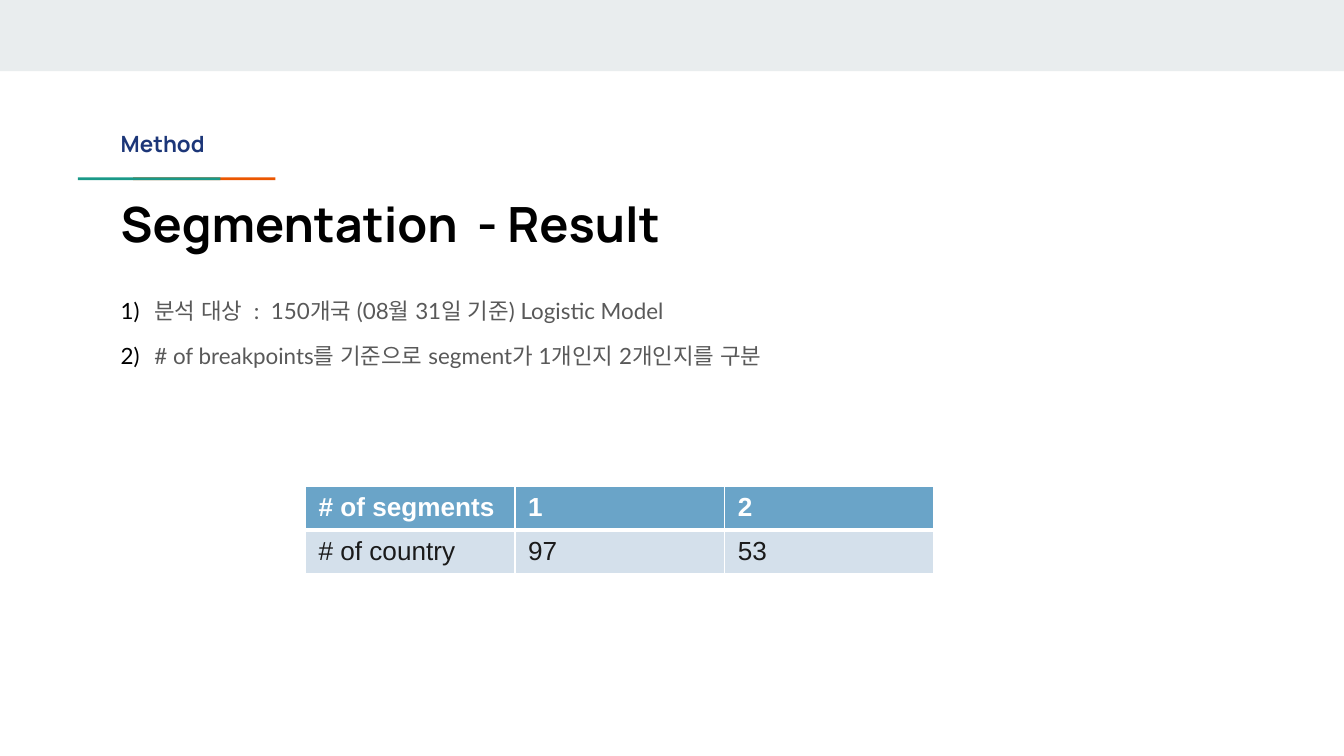
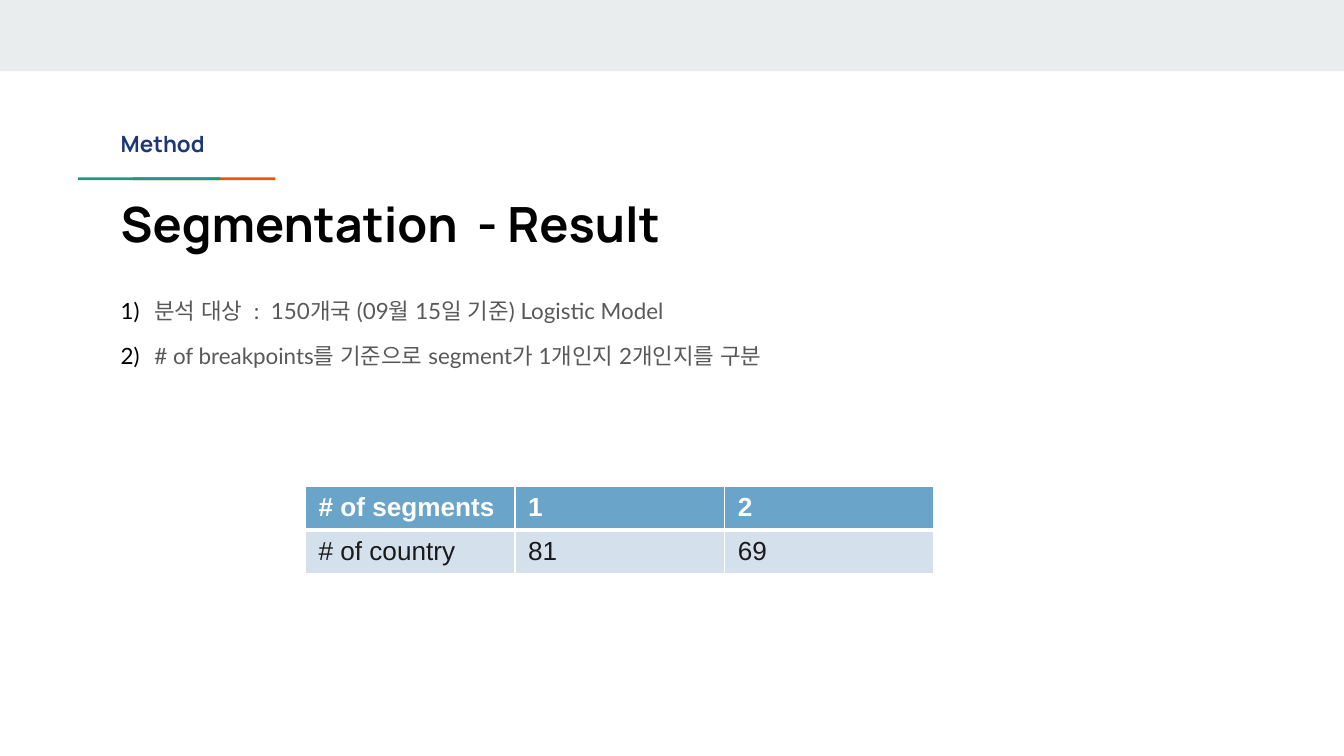
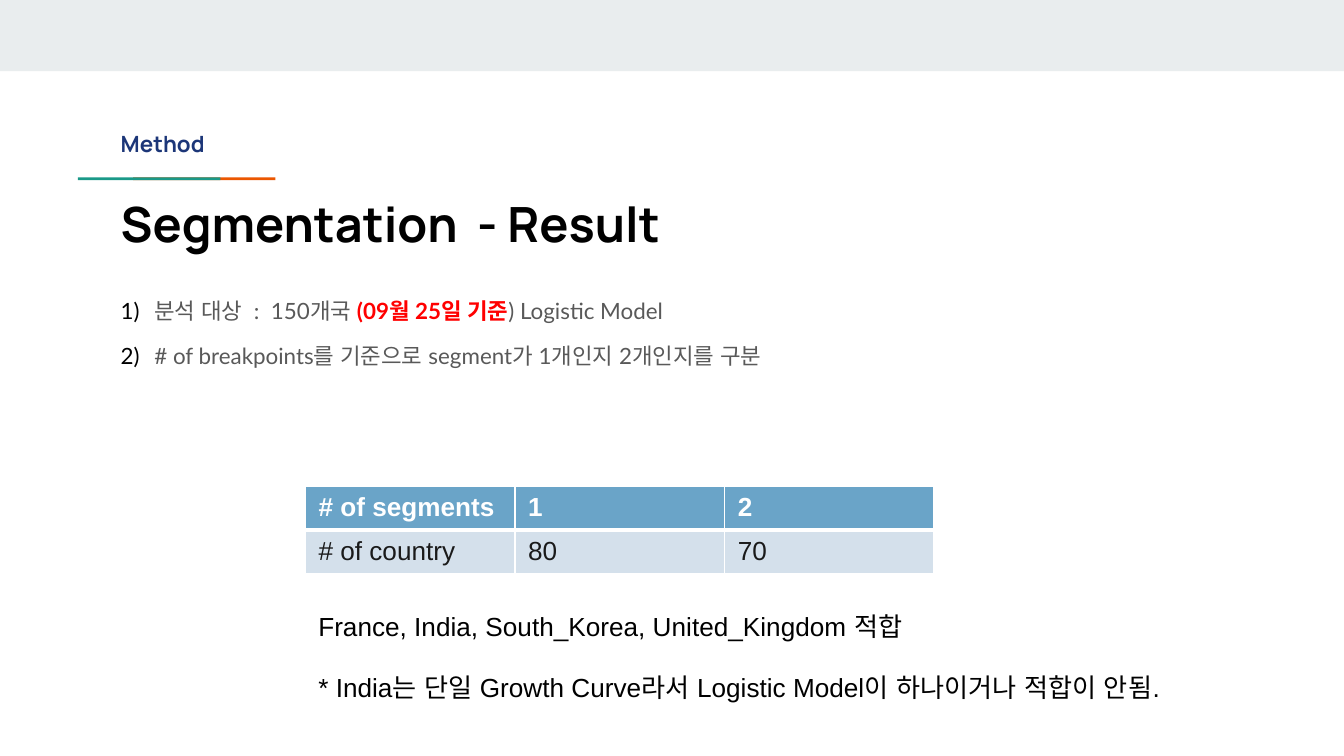
"""Builds three slides with the segmentation results by date."""
from lxml import etree
from pptx import Presentation
from pptx.dml.color import RGBColor
from pptx.enum import lang, shapes
from pptx.oxml import ns
from pptx.util import Inches, Pt

BAND, TEAL, ORANGE, NAVY = "E9EDEE", "1A9988", "EB5600", "1C3678"
BLACK, GREY, RED, WHITE = "000000", "595959", "FF0000", "FFFFFF"
HEADER_FILL, BODY_FILL, BODY_TEXT = "6AA4C8", "D4E0EB", "1A1A1A"
HEADING_FONT, LIST_FONT, TABLE_FONT = "Manrope", "Lato", "Arial"
CRITERION = "# of breakpoints를 기준으로 segment가 1개인지 2개인지를 구분"
RESULTS = [
    {"date": "(08월 31일 기준", "counts": ("97", "53")},
    {"date": "(09월 15일 기준", "counts": ("81", "69")},
    {"date": "(09월 25일 기준", "counts": ("80", "70"), "highlight": True,
     "remarks": ("France, India, South_Korea, United_Kingdom 적합",
                 "* India는 단일 Growth Curve라서 Logistic Model이 "
                 "하나이거나 적합이 안됨.")},
]


def rgb(value):
    """Return the colour for a hex string."""
    return RGBColor.from_string(value)


def add_bar(slide, left, top, width, height, color):
    """Draw a plain filled rectangle."""
    bar = slide.shapes.add_shape(shapes.MSO_SHAPE.RECTANGLE, Inches(left),
                                 Inches(top), Inches(width), Inches(height))
    bar.shadow.inherit = False
    bar.fill.solid()
    bar.fill.fore_color.rgb = rgb(color)
    bar.line.fill.background()


def add_run(paragraph, words, size, font, color, bold=False):
    """Append one styled run, with one font for Latin and Korean text."""
    run = paragraph.add_run()
    run.text = words
    run.font.size = Pt(size)
    run.font.bold = bold
    run.font.language_id = lang.MSO_LANGUAGE_ID.KOREAN
    run.font.color.rgb = rgb(color)
    run.font.name = font
    etree.SubElement(run.font._element, ns.qn("a:ea"), typeface=font)


def add_text_frame(slide, left, top, width, height, inset=0.1):
    """Add a wrapping text box and return its frame."""
    frame = slide.shapes.add_textbox(Inches(left), Inches(top), Inches(width),
                                     Inches(height)).text_frame
    frame.word_wrap = True
    frame.margin_top = frame.margin_bottom = Inches(inset)
    return frame


def next_paragraph(frame, index, gap):
    """Return the paragraph at an index, spaced from the one before."""
    if index == 0:
        return frame.paragraphs[0]
    paragraph = frame.add_paragraph()
    paragraph.space_before = Pt(gap)
    return paragraph


def number_paragraph(paragraph):
    """Give a paragraph a black automatic number and a hanging indent."""
    props = paragraph._p.get_or_add_pPr()
    props.set("marL", str(Inches(0.25)))
    props.set("indent", str(Inches(-0.25)))
    color = etree.SubElement(props, ns.qn("a:buClr"))
    etree.SubElement(color, ns.qn("a:srgbClr"), val=BLACK)
    etree.SubElement(props, ns.qn("a:buFont"), typeface=LIST_FONT)
    etree.SubElement(props, ns.qn("a:buAutoNum"), type="arabicParenR")


def add_heading(slide):
    """Draw the top band, the two-colour rule, the section and the title."""
    add_bar(slide, 0, 0, 10, 0.53, BAND)
    add_bar(slide, 0.99, 1.32, 1.06, 0.02, ORANGE)
    add_bar(slide, 0.58, 1.32, 1.06, 0.02, TEAL)
    section = add_text_frame(slide, 0.8, 0.87, 3.01, 0.34)
    add_run(section.paragraphs[0], "Method", 12, HEADING_FONT, NAVY, True)
    title = add_text_frame(slide, 0.8, 1.34, 4.44, 0.34)
    add_run(title.paragraphs[0], "Segmentation  - Result", 26, HEADING_FONT,
            BLACK, True)


def add_conditions(slide, date, highlight):
    """List the analysed countries and the segment criterion."""
    frame = add_text_frame(slide, 0.8, 2.11, 7.62, 1.47)
    if highlight:
        subject = [("분석 대상  :  150개국 ", GREY, False), (date, RED, True),
                   (") Logistic Model", GREY, False)]
    else:
        subject = [(f"분석 대상  :  150개국 {date}) Logistic Model", GREY,
                    False)]
    for index, parts in enumerate([subject, [(CRITERION, GREY, False)]]):
        paragraph = next_paragraph(frame, index, 10)
        number_paragraph(paragraph)
        for words, color, bold in parts:
            add_run(paragraph, words, 12, LIST_FONT, color, bold)


def set_borders(cell, top, bottom):
    """Draw white cell borders, one point wide at the sides."""
    props = cell._tc.get_or_add_tcPr()
    widths = {"a:lnL": 1, "a:lnR": 1, "a:lnT": top, "a:lnB": bottom}
    for position, (tag, width) in enumerate(widths.items()):
        line = etree.Element(ns.qn(tag), w=str(Pt(width)))
        fill = etree.SubElement(line, ns.qn("a:solidFill"))
        etree.SubElement(fill, ns.qn("a:srgbClr"), val=WHITE)
        props.insert(position, line)


def add_segment_table(slide, counts):
    """Tabulate the number of countries for each number of segments."""
    rows = [(("# of segments", "1", "2"), HEADER_FILL, WHITE, True, 1, 3),
            (("# of country", *counts), BODY_FILL, BODY_TEXT, False, 3, 1)]
    table = slide.shapes.add_table(2, 3, Inches(2.27), Inches(3.62),
                                   Inches(4.68), Inches(0.6)).table
    table.horz_banding = False
    for r, (labels, fill, color, bold, top, bottom) in enumerate(rows):
        for c, label in enumerate(labels):
            cell = table.cell(r, c)
            cell.margin_bottom = Inches(0.04)
            cell.fill.solid()
            cell.fill.fore_color.rgb = rgb(fill)
            set_borders(cell, top, bottom)
            add_run(cell.text_frame.paragraphs[0], label, 14, TABLE_FONT,
                    color, bold)


def add_remarks(slide, remarks):
    """Write the remarks below the table."""
    frame = add_text_frame(slide, 2.27, 4.49, 6.68, 0.81, inset=0.05)
    for index, remark in enumerate(remarks):
        add_run(next_paragraph(frame, index, 16), remark, 14, TABLE_FONT,
                BLACK)


def main():
    """Build and save the presentation."""
    deck = Presentation()
    deck.slide_width = Inches(10)
    deck.slide_height = deck.slide_width * 9 // 16
    for result in RESULTS:
        slide = deck.slides.add_slide(deck.slide_layouts[6])
        add_heading(slide)
        add_conditions(slide, result["date"], result.get("highlight", False))
        add_segment_table(slide, result["counts"])
        if "remarks" in result:
            add_remarks(slide, result["remarks"])
    deck.save("out.pptx")


if __name__ == "__main__":
    main()
